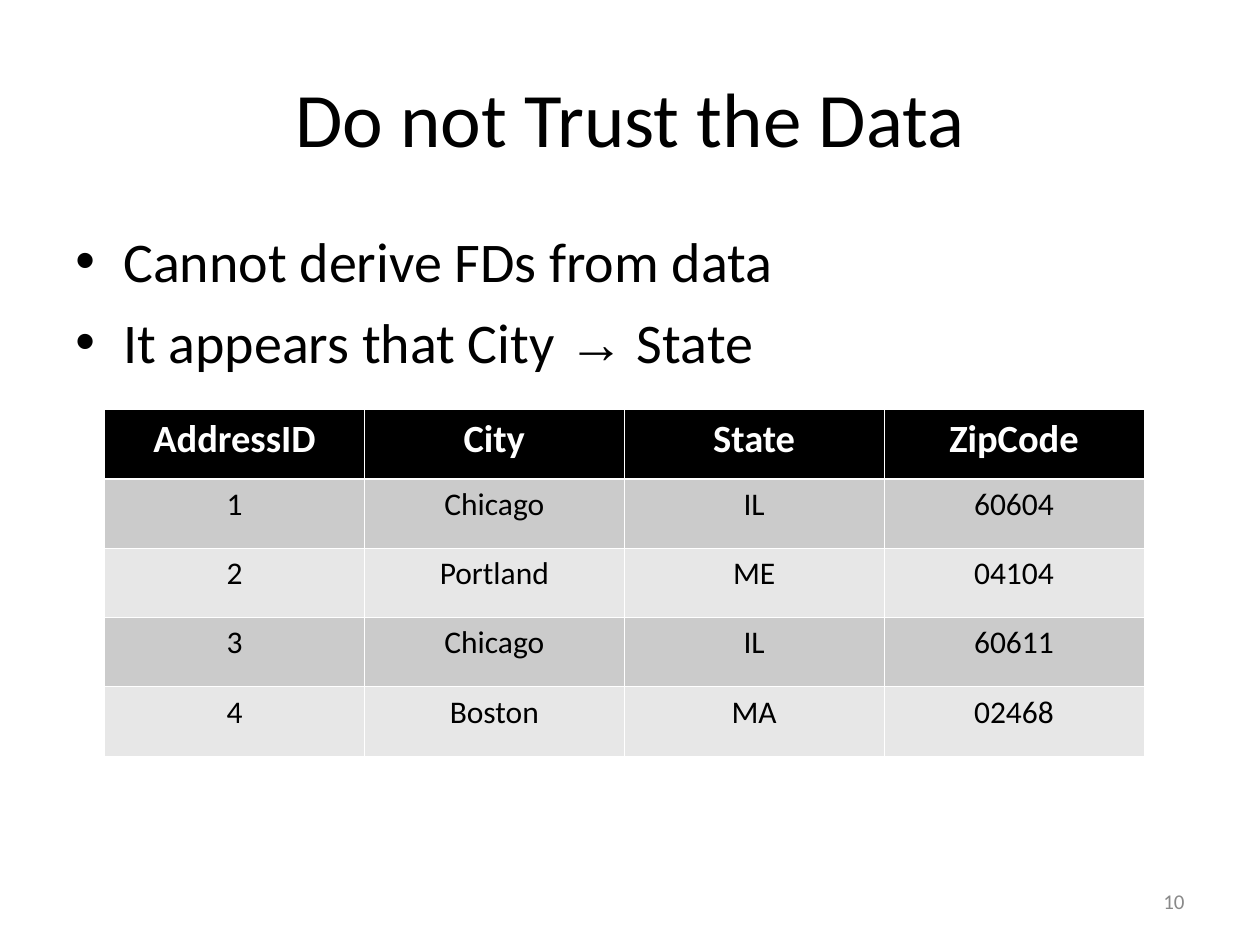
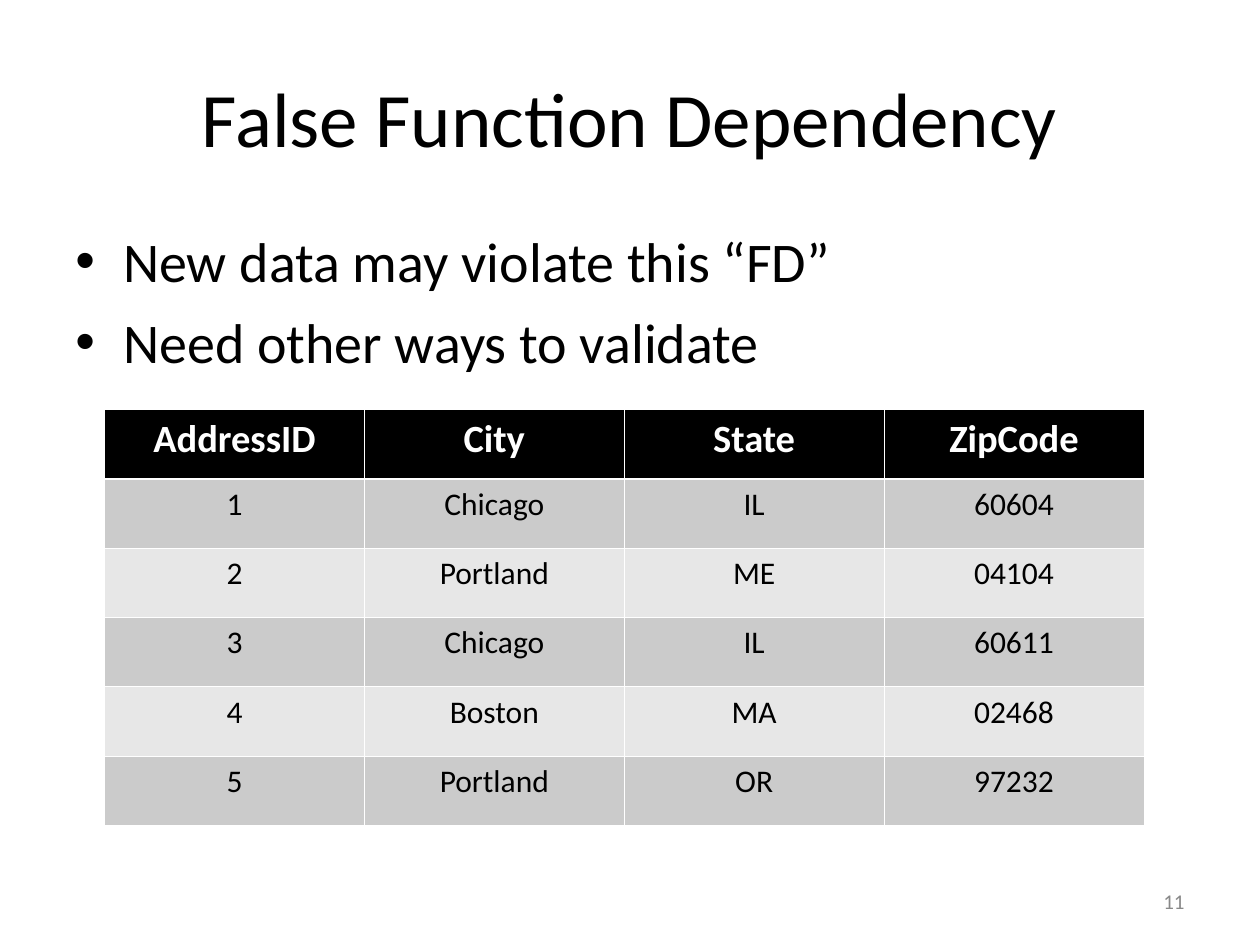
import pptx
import pptx.dml.color
import pptx.enum.text
import pptx.oxml
import pptx.oxml.ns
import pptx.util

RGBColor = pptx.dml.color.RGBColor
Pt = pptx.util.Pt
ALIGN = pptx.enum.text.PP_ALIGN
ANCHOR = pptx.enum.text.MSO_ANCHOR

BLACK = RGBColor(0x00, 0x00, 0x00)
WHITE = RGBColor(0xFF, 0xFF, 0xFF)
GREY = RGBColor(0x89, 0x89, 0x89)
BAND_DARK = RGBColor(0xCB, 0xCB, 0xCB)
BAND_LIGHT = RGBColor(0xE7, 0xE7, 0xE7)

FONT = "Calibri"
SYMBOL_FONT = "Arial"
EMU_PER_PX = 9144  # 100 px to the inch
TITLE_ONLY = 5
FIRST_PAGE = 10
ROW_HEIGHT = 55
THIN, THICK = 0.45, 1.47

HEADER = ("AddressID", "City", "State", "ZipCode")
ADDRESSES = [
    ("1", "Chicago", "IL", "60604"),
    ("2", "Portland", "ME", "04104"),
    ("3", "Chicago", "IL", "60611"),
    ("4", "Boston", "MA", "02468"),
]
VIOLATING_ADDRESS = ("5", "Portland", "OR", "97232")

# Each bullet is a list of (text, font) runs.
SLIDES = [
    ("Do not Trust the Data",
     [[("Cannot derive FDs from data", FONT)],
      [("It appears that City ", FONT), ("→", SYMBOL_FONT), (" State", FONT)]],
     ADDRESSES),
    ("False Function Dependency",
     [[("New data may violate this “FD”", FONT)],
      [("Need other ways to validate", FONT)]],
     ADDRESSES + [VIOLATING_ADDRESS]),
]


def px(n):
    return pptx.util.Emu(n * EMU_PER_PX)


def add_xml(parent, xml):
    parent.append(pptx.oxml.parse_xml(xml))


class Deck:
    def __init__(self):
        self.prs = pptx.Presentation()
        self.prs.slide_width, self.prs.slide_height = px(1000), px(750)
        self.ns = pptx.oxml.ns.nsdecls("a")
        self.s = None

    def add_slide(self):
        self.s = self.prs.slides.add_slide(self.prs.slide_layouts[TITLE_ONLY])

    def run(self, p, text, size, color=BLACK, font=FONT, bold=False):
        r = p.add_run()
        r.text = text
        r.font.name, r.font.size, r.font.bold = font, Pt(size), bold
        r.font.color.rgb = color

    def text_box(self, x, y, w, h, anchor):
        tf = self.s.shapes.add_textbox(px(x), px(y), px(w), px(h)).text_frame
        tf.word_wrap = True
        tf.vertical_anchor = anchor
        return tf

    def title(self, text):
        sp = self.s.shapes.title
        sp.left, sp.top, sp.width, sp.height = px(50), px(30), px(900), px(125)
        tf = sp.text_frame
        tf.vertical_anchor = ANCHOR.MIDDLE
        p = tf.paragraphs[0]
        p.alignment = ALIGN.CENTER
        self.run(p, text, 44)

    def bullets(self, items):
        tf = self.text_box(50, 175, 900, 495, ANCHOR.TOP)
        for i, runs in enumerate(items):
            p = tf.add_paragraph() if i else tf.paragraphs[0]
            if i:
                p.space_before = Pt(8)
            pPr = p._p.get_or_add_pPr()
            pPr.set("marL", str(px(38)))
            pPr.set("indent", str(px(-38)))
            add_xml(pPr, f'<a:buClr {self.ns}><a:srgbClr val="{BLACK}"/></a:buClr>')
            add_xml(pPr, f'<a:buFont {self.ns} typeface="{SYMBOL_FONT}"/>')
            add_xml(pPr, f'<a:buChar {self.ns} char="•"/>')
            for text, font in runs:
                self.run(p, text, 32, font=font)

    def borders(self, cell, top, bottom):
        tcPr = cell._tc.get_or_add_tcPr()
        for side, width in (("L", THIN), ("R", THIN), ("T", top), ("B", bottom)):
            add_xml(tcPr, f'<a:ln{side} {self.ns} w="{Pt(width)}"><a:solidFill>'
                          f'<a:srgbClr val="{WHITE}"/></a:solidFill></a:ln{side}>')

    def table(self, header, records):
        rows = [header] + records
        frame = self.s.shapes.add_table(len(rows), len(header), px(83), px(325),
                                        px(825), px(ROW_HEIGHT * len(rows)))
        for i, values in enumerate(rows):
            is_header = i == 0
            if is_header:
                fill, size, color = BLACK, 22, WHITE
            else:
                fill, size, color = (BAND_DARK if i % 2 else BAND_LIGHT), 18, BLACK
            for j, value in enumerate(values):
                cell = frame.table.cell(i, j)
                self.borders(cell, THICK if i == 1 else THIN,
                             THICK if is_header else THIN)
                cell.fill.solid()
                cell.fill.fore_color.rgb = fill
                p = cell.text_frame.paragraphs[0]
                p.alignment = ALIGN.CENTER
                self.run(p, value, size, color, bold=is_header)

    def page_number(self, number):
        p = self.text_box(717, 695, 233, 40, ANCHOR.MIDDLE).paragraphs[0]
        p.alignment = ALIGN.RIGHT
        self.run(p, str(number), 12, GREY)


def main():
    deck = Deck()
    for page, (title, bullets, records) in enumerate(SLIDES, FIRST_PAGE):
        deck.add_slide()
        deck.title(title)
        deck.bullets(bullets)
        deck.table(HEADER, records)
        deck.page_number(page)
    deck.prs.save("out.pptx")


if __name__ == "__main__":
    main()
